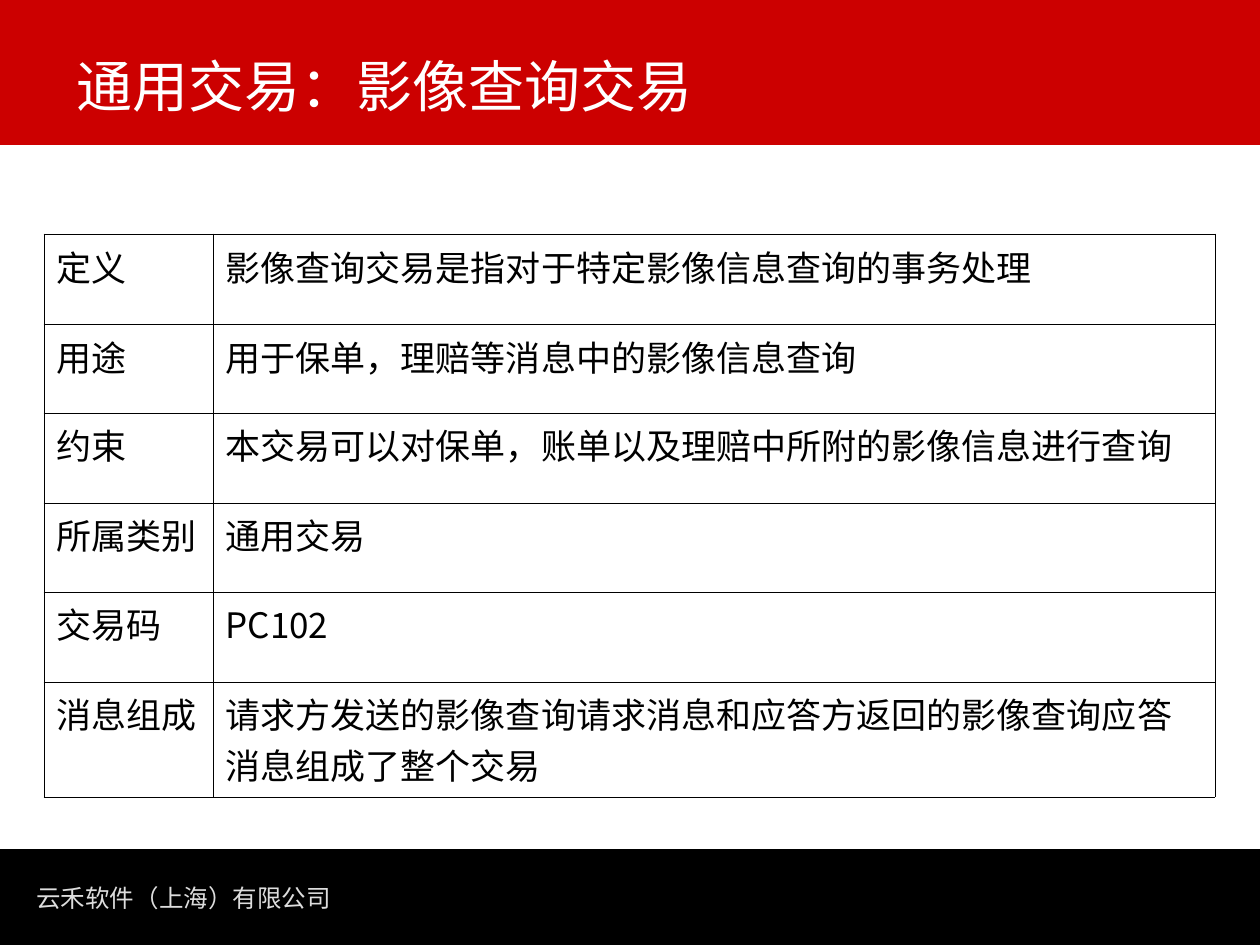
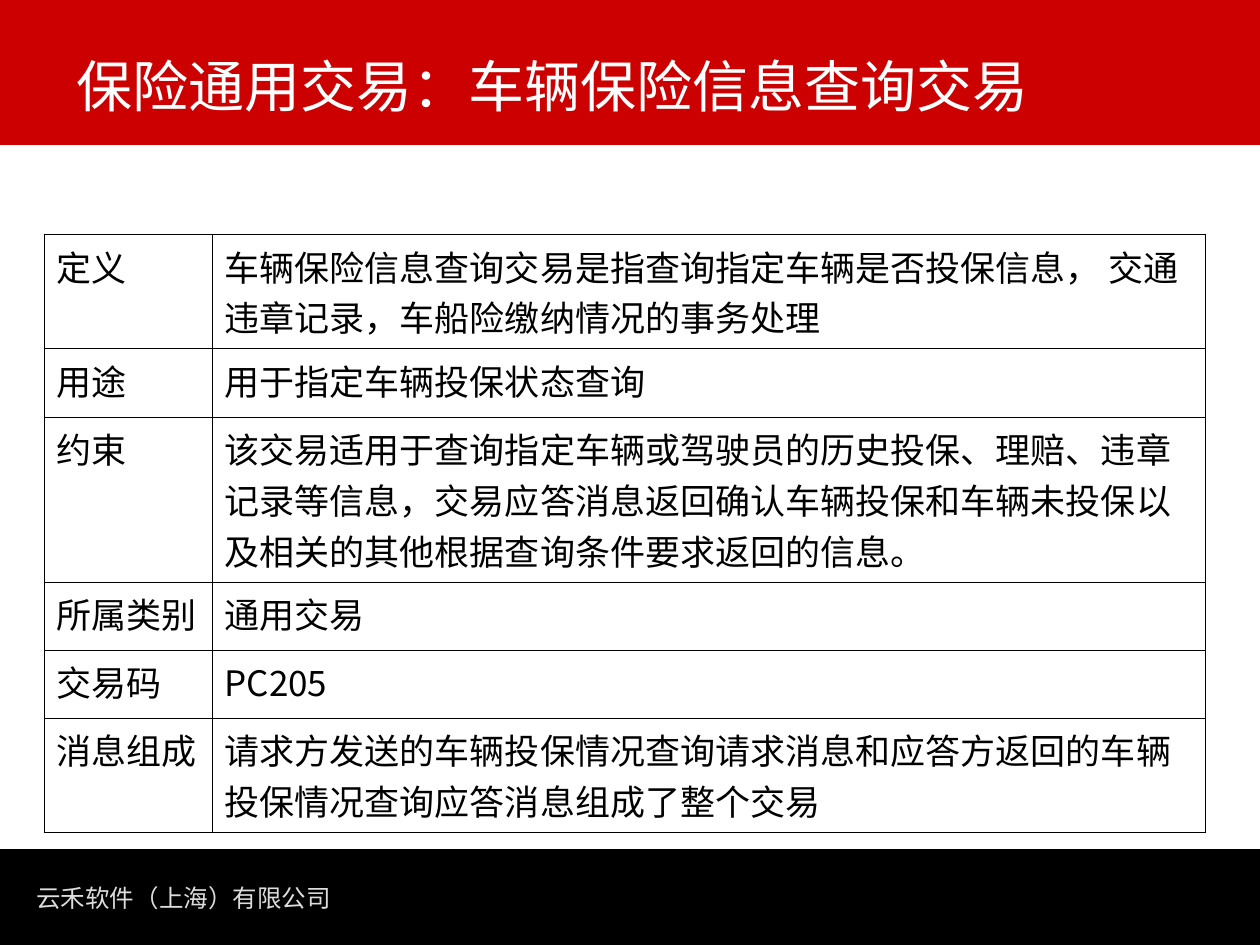
from lxml import etree
from pptx import Presentation
from pptx import util as u
from pptx.dml.color import RGBColor
from pptx.enum import shapes, text
from pptx.oxml import ns

PX = 914400 / 126
SLIDE_WIDTH, SLIDE_HEIGHT = 1260, 945
COLORS = {
    "header": "CC0000",
    "footer": "000000",
    "title": "FFFFFF",
    "company": "DDDDDD",
    "body": "000000",
    "border": "000000",
}
BODY_FONT, FOOTER_FONT = "Noto Sans CJK SC", "DejaVu Sans"
COMPANY = "云禾软件（上海）有限公司"
LABELS = ["定义", "用途", "约束", "所属类别", "交易码", "消息组成"]
BORDER_WIDTH = u.Pt(0.45)

# Row heights leave room for every wrapped line of the details
TRANSACTIONS = [
    {
        "title": "通用交易：影像查询交易",
        "columns": [169, 1002],
        "rows": [90, 89, 90, 89, 90, 115],
        "details": [
            "影像查询交易是指对于特定影像信息查询的事务处理",
            "用于保单，理赔等消息中的影像信息查询",
            "本交易可以对保单，账单以及理赔中所附的影像信息进行查询",
            "通用交易",
            "PC102",
            "请求方发送的影像查询请求消息和应答方返回的影像查询应答消息组成了整个交易",
        ],
    },
    {
        "title": "保险通用交易：车辆保险信息查询交易",
        "columns": [168, 993],
        "rows": [114, 69, 165, 68, 68, 115],
        "details": [
            "车辆保险信息查询交易是指查询指定车辆是否投保信息， 交通违章记录，车船险缴纳情况的事务处理",
            "用于指定车辆投保状态查询",
            "该交易适用于查询指定车辆或驾驶员的历史投保、理赔、违章记录等信息，"
            "交易应答消息返回确认车辆投保和车辆未投保以及相关的其他根据查询条件要求返回的信息。",
            "通用交易",
            "PC205",
            "请求方发送的车辆投保情况查询请求消息和应答方返回的车辆投保情况查询应答消息组成了整个交易",
        ],
    },
]


def px(length):
    return u.Emu(round(length * PX))


def color(name):
    return RGBColor.from_string(COLORS[name])


def write(text_frame, content, size, font_name, color_name):
    text_frame.text = content
    for run in text_frame.paragraphs[0].runs:
        run.font.size = u.Pt(size)
        run.font.name = font_name
        run.font.color.rgb = color(color_name)
        # Chinese glyphs take the East Asian typeface
        east_asian = etree.SubElement(run.font._element, ns.qn("a:ea"))
        east_asian.set("typeface", font_name)


def add_band(slide, box, color_name):
    band = slide.shapes.add_shape(shapes.MSO_SHAPE.RECTANGLE, *map(px, box))
    band.shadow.inherit = False
    band.fill.solid()
    band.fill.fore_color.rgb = color(color_name)
    band.line.fill.background()


def add_header(slide, box, title):
    left, top, width, height = box
    add_band(slide, box, "header")
    title_box = slide.shapes.add_textbox(
        px(left + 64), px(top + 7), px(width - 158), px(height - 27))
    frame = title_box.text_frame
    frame.word_wrap = True
    frame.vertical_anchor = text.MSO_ANCHOR.BOTTOM
    write(frame, title, 32, BODY_FONT, "title")


def add_footer(slide, box):
    left, top, _, _ = box
    add_band(slide, box, "footer")
    company_box = slide.shapes.add_textbox(px(left + 24), px(top + 28), px(320), px(43))
    frame = company_box.text_frame
    frame.word_wrap = False
    frame.auto_size = text.MSO_AUTO_SIZE.SHAPE_TO_FIT_TEXT
    write(frame, COMPANY, 14, FOOTER_FONT, "company")


def add_borders(cell):
    properties = cell._tc.get_or_add_tcPr()
    # Border lines come before the fill in the cell properties
    for index, side in enumerate(("lnL", "lnR", "lnT", "lnB")):
        line = etree.Element(ns.qn(f"a:{side}"), w=str(int(BORDER_WIDTH)))
        fill = etree.SubElement(line, ns.qn("a:solidFill"))
        etree.SubElement(fill, ns.qn("a:srgbClr"), val=COLORS["border"])
        properties.insert(index, line)


def add_detail_table(slide, left, top, transaction):
    columns, rows = transaction["columns"], transaction["rows"]
    table = slide.shapes.add_table(
        len(rows), len(columns), px(left), px(top), px(sum(columns)), px(sum(rows))).table
    table.first_row = False
    table.horz_banding = False
    for column, width in zip(table.columns, columns):
        column.width = px(width)
    for row, height, *contents in zip(table.rows, rows, LABELS, transaction["details"]):
        row.height = px(height)
        for cell, content in zip(row.cells, contents):
            cell.fill.background()
            add_borders(cell)
            write(cell.text_frame, content, 20, BODY_FONT, "body")


def add_transaction_slide(presentation, transaction):
    slide = presentation.slides.add_slide(presentation.slide_layouts[6])
    add_footer(slide, (0, 849, SLIDE_WIDTH, SLIDE_HEIGHT - 849))
    add_header(slide, (0, 0, SLIDE_WIDTH, 145), transaction["title"])
    add_detail_table(slide, 44, 234, transaction)


def main():
    presentation = Presentation()
    presentation.slide_width = px(SLIDE_WIDTH)
    presentation.slide_height = px(SLIDE_HEIGHT)
    for transaction in TRANSACTIONS:
        add_transaction_slide(presentation, transaction)
    presentation.save("out.pptx")


if __name__ == "__main__":
    main()
